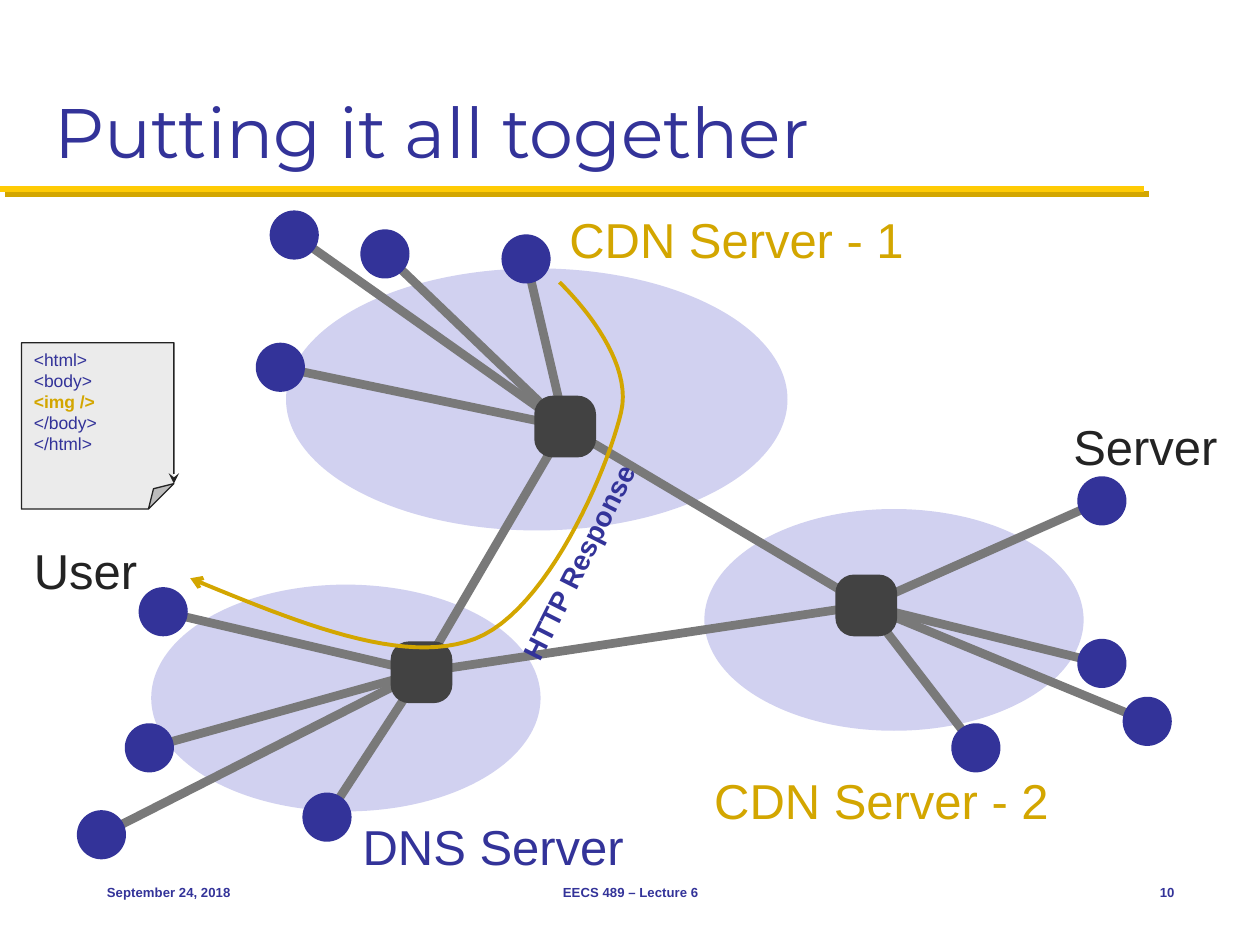
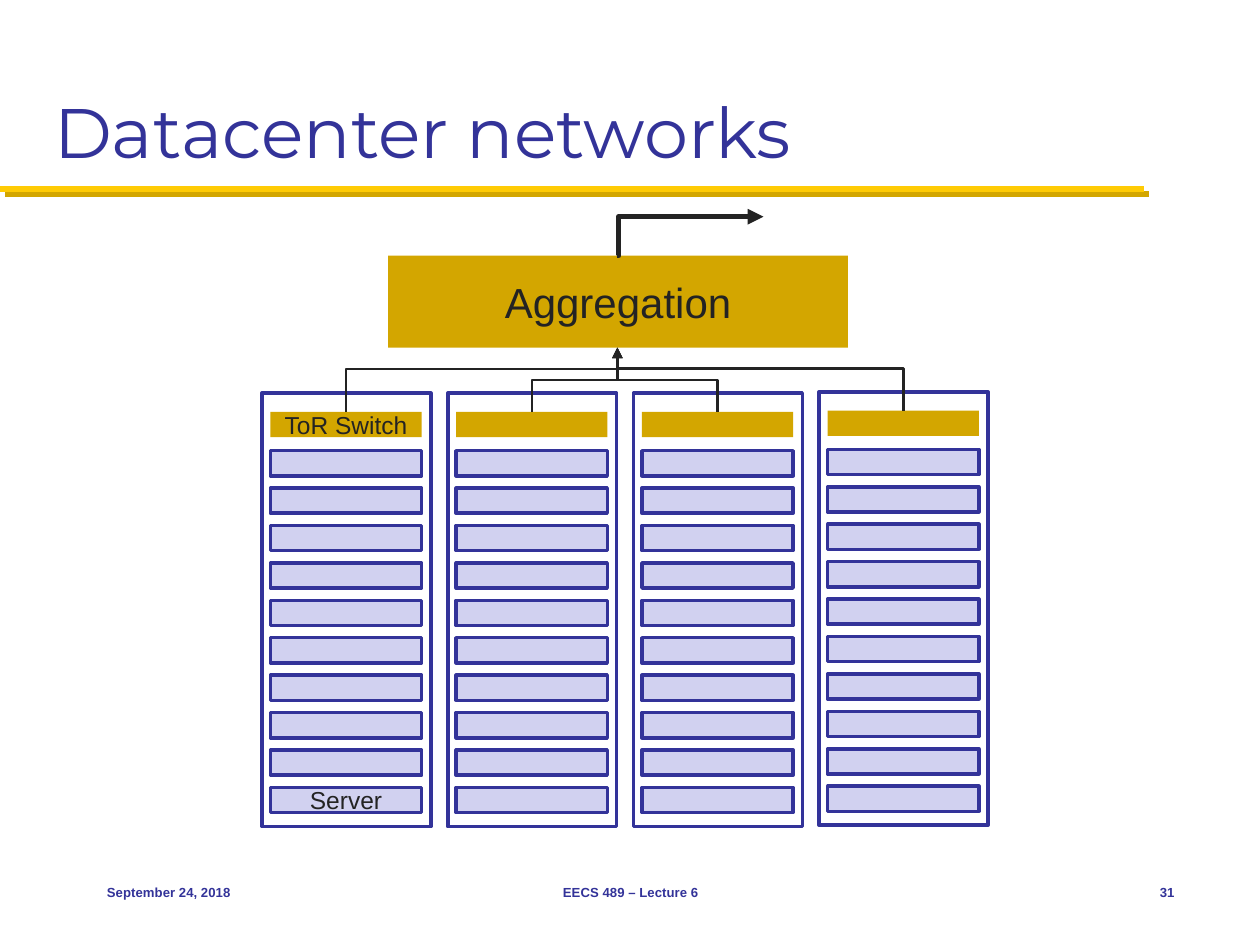
from dataclasses import dataclass
from itertools import combinations
from typing import NamedTuple

from lxml import etree
from pptx import Presentation
from pptx.dml.color import RGBColor
from pptx.enum.shapes import MSO_CONNECTOR, MSO_SHAPE
from pptx.enum.text import MSO_ANCHOR, MSO_AUTO_SIZE, PP_ALIGN
from pptx.oxml.ns import qn
from pptx.util import Emu, Inches, Pt

STRAIGHT, ELBOW = MSO_CONNECTOR.STRAIGHT, MSO_CONNECTOR.ELBOW
OVAL, RECTANGLE = MSO_SHAPE.OVAL, MSO_SHAPE.RECTANGLE
ROUNDED, FOLDED = MSO_SHAPE.ROUNDED_RECTANGLE, MSO_SHAPE.FOLDED_CORNER
LEFT, CENTER, RIGHT = PP_ALIGN.LEFT, PP_ALIGN.CENTER, PP_ALIGN.RIGHT
TOP, MIDDLE, BOTTOM = MSO_ANCHOR.TOP, MSO_ANCHOR.MIDDLE, MSO_ANCHOR.BOTTOM
TITLE_ONLY = 5
SLIDE_WIDTH, SLIDE_HEIGHT = Inches(10), Inches(7.5)
COLUMNS, ROWS = 100, 75


@dataclass(frozen=True)
class Theme:
    blue: str = "333399"
    lilac: str = "D1D1F0"
    maize: str = "FFCB05"
    gold: str = "D3A600"
    ink: str = "232323"
    link: str = "797979"
    router: str = "424242"
    paper: str = "EBEBEB"
    title_font: str = "Montserrat"
    body_font: str = "Arial"
    title_size: float = 40
    label_size: float = 28
    block_size: float = 24
    path_size: float = 16
    rack_size: float = 14
    code_size: float = 10
    footer_size: float = 7.5


THEME = Theme()


class Point(NamedTuple):
    column: float
    row: float


class Area(NamedTuple):
    column: float
    row: float
    columns: float
    rows: float


class TextStyle(NamedTuple):
    size: float
    color: str
    bold: bool = False
    align: PP_ALIGN = LEFT
    font: str = THEME.body_font


class Stroke(NamedTuple):
    color: str
    width: float


class Label(NamedTuple):
    text: str
    area: Area
    style: TextStyle
    rotation: float = 0


class Network(NamedTuple):
    cloud: Area
    router: Point
    hosts: tuple[Point, ...]


def across(columns: float) -> Emu:
    return Emu(round(SLIDE_WIDTH * columns / COLUMNS))


def down(rows: float) -> Emu:
    return Emu(round(SLIDE_HEIGHT * rows / ROWS))


def place(area: Area) -> tuple[Emu, Emu, Emu, Emu]:
    return across(area.column), down(area.row), across(area.columns), down(area.rows)


def around(center: Point, size: float) -> Area:
    return Area(center.column - size / 2, center.row - size / 2, size, size)


def write(frame, lines: list[str], style: TextStyle, anchor=TOP) -> None:
    frame.vertical_anchor = anchor
    for index, line in enumerate(lines):
        para = frame.paragraphs[0] if index == 0 else frame.add_paragraph()
        para.text = line
        para.alignment = style.align
        font = para.font
        font.name, font.size, font.bold = style.font, Pt(style.size), style.bold
        font.color.rgb = RGBColor.from_string(style.color)


def set_stroke(shape, stroke: Stroke) -> None:
    shape.line.color.rgb = RGBColor.from_string(stroke.color)
    shape.line.width = Pt(stroke.width)


def add_block(shapes, kind, area: Area, fill: str | None = None, stroke: Stroke | None = None):
    shape = shapes.add_shape(kind, *place(area))
    shape.shadow.inherit = False
    if fill:
        shape.fill.solid()
        shape.fill.fore_color.rgb = RGBColor.from_string(fill)
    else:
        shape.fill.background()
    if stroke:
        set_stroke(shape, stroke)
    else:
        shape.line.fill.background()
    return shape


def caption_block(shape, text: str, size: float) -> None:
    frame = shape.text_frame
    frame.word_wrap = True
    frame.margin_left = frame.margin_right = 0
    write(frame, [text], TextStyle(size, THEME.ink, align=CENTER), MIDDLE)


def add_label(page, label: Label) -> None:
    box = page.shapes.add_textbox(*place(label.area))
    box.rotation = label.rotation
    box.text_frame.word_wrap = False
    box.text_frame.auto_size = MSO_AUTO_SIZE.SHAPE_TO_FIT_TEXT
    write(box.text_frame, [label.text], label.style)


def add_arrowhead(shape, end: str, kind: str) -> None:
    etree.SubElement(shape.line._get_or_add_ln(), qn(f"a:{end}End"), type=kind)


def add_line(page, start: Point, end: Point, stroke: Stroke, kind=STRAIGHT, arrow: str = ""):
    line = page.shapes.add_connector(
        kind, across(start.column), down(start.row), across(end.column), down(end.row))
    set_stroke(line, stroke)
    if arrow:
        add_arrowhead(line, "tail", arrow)
    etree.SubElement(line._element.spPr, qn("a:effectLst"))
    return line


def set_bend(line, share: float) -> None:
    guides = line._element.spPr.find(qn("a:prstGeom")).get_or_add_avLst()
    etree.SubElement(guides, qn("a:gd"), name="adj1", fmla=f"val {round(share * 100000)}")


def add_riser(page, start: Point, end: Point, bend: float) -> None:
    line = add_line(page, start, end, Stroke(THEME.ink, 1.5), ELBOW, "triangle")
    set_bend(line, bend)
    center_x, center_y = line.left + line.width // 2, line.top + line.height // 2
    line.width, line.height = line.height, line.width
    line.left, line.top = center_x - line.width // 2, center_y - line.height // 2
    rightward = end.column > start.column
    frame = line._element.spPr.find(qn("a:xfrm"))
    frame.set("rot", str((90 if rightward else 270) * 60000))
    frame.set("flipH", "1" if rightward else "0")
    frame.set("flipV", "1")


def add_rule(page) -> None:
    rule = add_line(page, Point(0, 15), Point(90.8, 15), Stroke(THEME.maize, 3.5))
    effects = rule._element.spPr.find(qn("a:effectLst"))
    shadow = etree.SubElement(effects, qn("a:outerShdw"), dist=str(Pt(4.2)),
                              dir=str(45 * 60000), algn="ctr", rotWithShape="0")
    etree.SubElement(shadow, qn("a:srgbClr"), val=THEME.gold)


def add_page(deck, title: str, number: int):
    page = deck.slides.add_slide(deck.slide_layouts[TITLE_ONLY])
    add_rule(page)
    heading = page.shapes.title
    heading.left, heading.top, heading.width, heading.height = place(Area(3.3, 1.7, 93.3, 12.5))
    heading.text_frame.auto_size = MSO_AUTO_SIZE.NONE
    write(heading.text_frame, [title],
          TextStyle(THEME.title_size, THEME.blue, font=THEME.title_font), BOTTOM)
    footers = (
        ("September 24, 2018", 7.5, 20.8, LEFT),
        ("EECS 489 – Lecture 6", 34.2, 31.7, CENTER),
        (str(number), 87.5, 6.7, RIGHT),
    )
    for text, column, columns, align in footers:
        box = page.shapes.add_textbox(*place(Area(column, 68.3, columns, 5)))
        box.text_frame.word_wrap = True
        write(box.text_frame, [text],
              TextStyle(THEME.footer_size, THEME.blue, True, align), MIDDLE)
    return page


NETWORKS = (
    Network(Area(55.9, 40.4, 30.1, 17.6), Point(68.75, 48.05),
            (Point(87.45, 39.75), Point(77.45, 59.35), Point(87.45, 52.65), Point(91.05, 57.25))),
    Network(Area(22.7, 21.3, 39.8, 20.8), Point(44.85, 33.85),
            (Point(22.25, 29.15), Point(23.35, 18.65), Point(30.55, 20.15), Point(41.75, 20.55))),
    Network(Area(12, 46.4, 30.9, 18), Point(33.45, 53.35),
            (Point(12.95, 48.55), Point(25.95, 64.85), Point(11.85, 59.35), Point(8.05, 66.25))),
)
PLAIN_LABEL = TextStyle(THEME.label_size, THEME.ink)
DNS_LABEL = TextStyle(THEME.label_size, THEME.blue)
CDN_LABEL = TextStyle(THEME.label_size, THEME.gold)
LABELS = (
    Label("User", Area(1.7, 42.4, 10.3, 5.7), PLAIN_LABEL),
    Label("Server", Area(84.2, 32.6, 13.6, 5.7), PLAIN_LABEL),
    Label("DNS Server", Area(27.8, 64.3, 23, 5.7), DNS_LABEL),
    Label("CDN Server - 1", Area(44.2, 16.1, 28.9, 5.7), CDN_LABEL),
    Label("CDN Server - 2", Area(55.7, 60.7, 28.9, 5.7), CDN_LABEL),
)
RESPONSE_LABEL = Label("HTTP Response", Area(36.4, 42.7, 19.1, 3.7),
                       TextStyle(THEME.path_size, THEME.blue, True), 296.8)
RESPONSE_PATH = (
    Point(15.1, 45.9), Point(23.6, 49.4), Point(32, 52.9), Point(37.7, 50.7),
    Point(43.4, 48.5), Point(48.2, 37.4), Point(49.3, 32.7),
    Point(50.4, 28), Point(44.4, 22.4), Point(44.4, 22.4),
)
HTML_LINES = ["<html>", "<body>", "<img />", "</body>", "</html>"]


def trace_curve(controls: tuple[Point, ...], steps: int = 24) -> list[tuple[int, int]]:
    points = [controls[0]]
    for first in range(0, len(controls) - 1, 3):
        segment = controls[first:first + 4]
        for step in range(1, steps + 1):
            t = step / steps
            weights = ((1 - t) ** 3, 3 * t * (1 - t) ** 2, 3 * t * t * (1 - t), t ** 3)
            points.append(Point(
                sum(weight * point.column for weight, point in zip(weights, segment)),
                sum(weight * point.row for weight, point in zip(weights, segment))))
    return [(across(point.column), down(point.row)) for point in points]


def add_html_note(page) -> None:
    note = add_block(page.shapes, FOLDED, Area(1.7, 27.2, 12.1, 13.2),
                     THEME.paper, Stroke(THEME.ink, 0.75))
    add_arrowhead(note, "tail", "stealth")
    write(note.text_frame, HTML_LINES, TextStyle(THEME.code_size, THEME.blue))
    image_font = note.text_frame.paragraphs[HTML_LINES.index("<img />")].font
    image_font.bold = True
    image_font.color.rgb = RGBColor.from_string(THEME.gold)


def add_response(page) -> None:
    start, *rest = trace_curve(RESPONSE_PATH)
    builder = page.shapes.build_freeform(*start, scale=1.0)
    builder.add_line_segments(rest, close=False)
    curve = builder.convert_to_shape()
    curve.shadow.inherit = False
    curve.fill.background()
    set_stroke(curve, Stroke(THEME.gold, 2.25))
    add_arrowhead(curve, "head", "arrow")
    add_label(page, RESPONSE_LABEL)


def build_delivery_page(deck) -> None:
    page = add_page(deck, "Putting it all together", 10)
    cable = Stroke(THEME.link, 5)
    for network in NETWORKS:
        add_block(page.shapes, OVAL, network.cloud, THEME.lilac)
    for network in NETWORKS:
        for host in network.hosts:
            add_line(page, host, network.router, cable)
            add_block(page.shapes, OVAL, around(host, 3.9), THEME.blue)
    for one, other in combinations(NETWORKS, 2):
        add_line(page, one.router, other.router, cable)
    for network in NETWORKS:
        router = add_block(page.shapes, ROUNDED, around(network.router, 4.9), THEME.router)
        router.adjustments[0] = 0.3
    for label in LABELS:
        add_label(page, label)
    add_html_note(page)
    add_response(page)


RACK_TOPS = (31.2, 31.2, 31.2, 31.1)
RACK_LEFT, RACK_PITCH, RACK_WIDTH, RACK_HEIGHT = 20.8, 14.74, 13.4, 34.4
UNIT_INSET, UNIT_WIDTH, UNIT_HEIGHT = 0.67, 12, 2
SWITCH_DROP, SERVER_DROP, SERVER_PITCH, SERVERS = 1.5, 4.57, 2.97, 10
RISER_BENDS = (0.67, 0.5, 0.5, 0.67)


def add_rack(page, column: float, top: float, captioned: bool) -> Point:
    shapes = page.shapes.add_group_shape().shapes
    outline = Stroke(THEME.blue, 2)
    left = column + UNIT_INSET
    for index in range(SERVERS):
        row = top + SERVER_DROP + index * SERVER_PITCH
        server = add_block(shapes, RECTANGLE, Area(left, row, UNIT_WIDTH, UNIT_HEIGHT),
                           THEME.lilac, outline)
    switch = add_block(shapes, RECTANGLE,
                       Area(left, top + SWITCH_DROP, UNIT_WIDTH, UNIT_HEIGHT), THEME.gold)
    add_block(shapes, RECTANGLE, Area(column, top, RACK_WIDTH, RACK_HEIGHT), stroke=outline)
    if captioned:
        caption_block(server, "Server", THEME.rack_size)
        caption_block(switch, "ToR Switch", THEME.rack_size)
    return Point(left + UNIT_WIDTH / 2, top + SWITCH_DROP)


def build_datacenter_page(deck) -> None:
    page = add_page(deck, "Datacenter networks", 31)
    ports = [add_rack(page, RACK_LEFT + index * RACK_PITCH, top, index == 0)
             for index, top in enumerate(RACK_TOPS)]
    aggregation = add_block(page.shapes, RECTANGLE, Area(30.8, 20.3, 36.5, 7.3), THEME.gold)
    caption_block(aggregation, "Aggregation", THEME.block_size)
    for port, bend in zip(ports, RISER_BENDS):
        add_riser(page, port, Point(49, 27.6), bend)
    uplink = add_line(page, Point(49, 20.3), Point(60.6, 17.2),
                      Stroke(THEME.ink, 3), ELBOW, "triangle")
    set_bend(uplink, 0.01)


def main() -> None:
    deck = Presentation()
    deck.slide_width, deck.slide_height = SLIDE_WIDTH, SLIDE_HEIGHT
    build_delivery_page(deck)
    build_datacenter_page(deck)
    deck.save("out.pptx")


if __name__ == "__main__":
    main()
